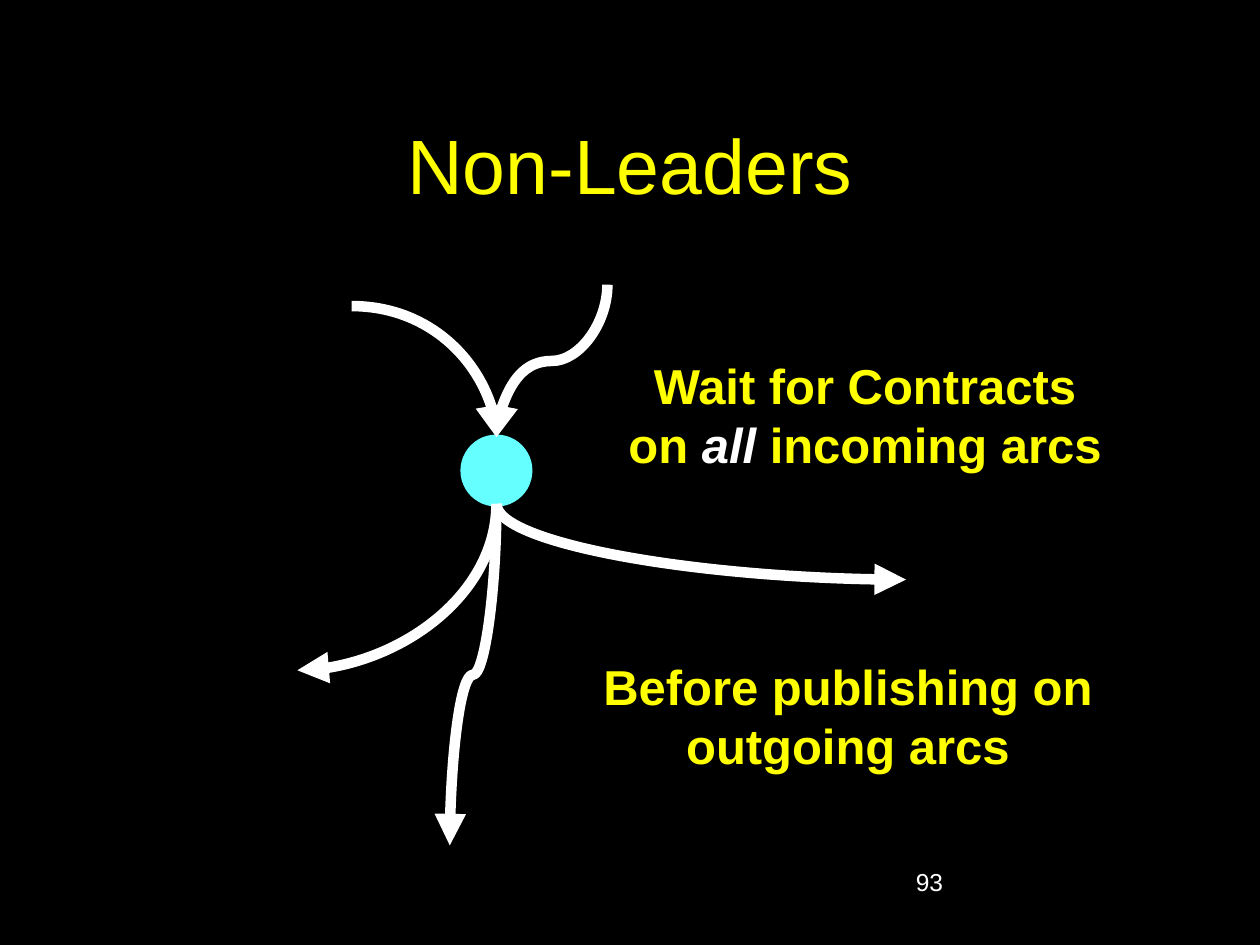
from lxml.etree import SubElement
from pptx import Presentation
from pptx.dml.color import RGBColor
from pptx.enum.shapes import MSO_CONNECTOR, MSO_SHAPE
from pptx.enum.text import MSO_ANCHOR, PP_ALIGN
from pptx.oxml.ns import qn
from pptx.util import Inches, Pt

BLACK = RGBColor(0x00, 0x00, 0x00)
WHITE = RGBColor(0xFF, 0xFF, 0xFF)
YELLOW = RGBColor(0xFF, 0xFF, 0x00)
CYAN = RGBColor(0x66, 0xFF, 0xFF)

NODE_X, NODE_TOP, NODE_BOTTOM = 3.94, 3.47, 4.0


def add_text(slide, box, runs, size, color=YELLOW, bold=False,
             align=PP_ALIGN.CENTER, anchor=MSO_ANCHOR.TOP, fill=None):
    shape = slide.shapes.add_textbox(*map(Inches, box))
    if fill is not None:
        shape.fill.solid()
        shape.fill.fore_color.rgb = fill
    frame = shape.text_frame
    frame.word_wrap = True
    frame.vertical_anchor = anchor
    paragraph = frame.paragraphs[0]
    paragraph.alignment = align
    for text, emphasized in runs:
        run = paragraph.add_run()
        run.text = text
        run.font.name = "Arial"
        run.font.size = Pt(size)
        run.font.bold = bold
        run.font.italic = emphasized
        run.font.color.rgb = WHITE if emphasized else color


def add_arc(slide, tip, tail, rotation, preset, flip_h=False, flip_v=False):
    width, height = abs(tip[0] - tail[0]), abs(tip[1] - tail[1])
    center_x, center_y = (tip[0] + tail[0]) / 2, (tip[1] + tail[1]) / 2
    if rotation in (90, 270):
        width, height = height, width
    left, right = center_x - width / 2, center_x + width / 2
    top, bottom = center_y - height / 2, center_y + height / 2
    if flip_h:
        left, right = right, left
    if flip_v:
        top, bottom = bottom, top
    connector = slide.shapes.add_connector(
        MSO_CONNECTOR.CURVE, *map(Inches, (left, top, right, bottom)))
    connector.line.color.rgb = WHITE
    connector.line.width = Pt(6)
    properties = connector._element.spPr
    properties.find(qn("a:xfrm")).set("rot", str(rotation * 60000))
    properties.find(qn("a:prstGeom")).set("prst", preset)
    SubElement(connector.line._get_or_add_ln(), qn("a:headEnd"), type="triangle")
    SubElement(properties, qn("a:effectLst"))


def add_node(slide, box):
    node = slide.shapes.add_shape(MSO_SHAPE.OVAL, *map(Inches, box))
    node.shadow.inherit = False
    node.fill.solid()
    node.fill.fore_color.rgb = CYAN
    node.line.color.rgb = CYAN
    node.line.width = Pt(3)


def add_graph(slide):
    diameter = NODE_BOTTOM - NODE_TOP
    add_node(slide, (NODE_X - diameter / 2, NODE_TOP, diameter, diameter))
    entry, departure = (NODE_X, NODE_TOP), (NODE_X, NODE_BOTTOM)
    bend, wave = "curvedConnector2", "curvedConnector3"
    add_arc(slide, (7.19, 4.6), departure, 180, bend)
    add_arc(slide, (2.36, 5.32), departure, 0, bend, flip_v=True)
    add_arc(slide, entry, (2.79, 2.43), 270, bend, flip_v=True)
    add_arc(slide, (3.57, 6.71), departure, 90, wave, flip_h=True, flip_v=True)
    add_arc(slide, entry, (4.82, 2.26), 90, wave, flip_h=True, flip_v=True)


def main():
    presentation = Presentation()
    presentation.slide_width = Inches(10)
    presentation.slide_height = Inches(7.5)
    slide = presentation.slides.add_slide(presentation.slide_layouts[6])
    slide.background.fill.solid()
    slide.background.fill.fore_color.rgb = BLACK

    add_text(slide, (0.75, 0.67, 8.5, 1.25), [("Non-Leaders", False)], 44,
             anchor=MSO_ANCHOR.MIDDLE)
    add_text(slide, (7.17, 6.83, 2.08, 0.5), [("93", False)], 14,
             color=WHITE, align=PP_ALIGN.LEFT)
    add_graph(slide)
    add_text(slide, (4.82, 2.77, 4.09, 1.04),
             [("Wait for Contracts on ", False), ("all", True),
              (" incoming arcs", False)], 28, bold=True, fill=BLACK)
    add_text(slide, (4.1, 5.16, 5.26, 1.04),
             [("Before publishing on outgoing arcs", False)], 28,
             bold=True, fill=BLACK)
    presentation.save("out.pptx")


if __name__ == "__main__":
    main()
